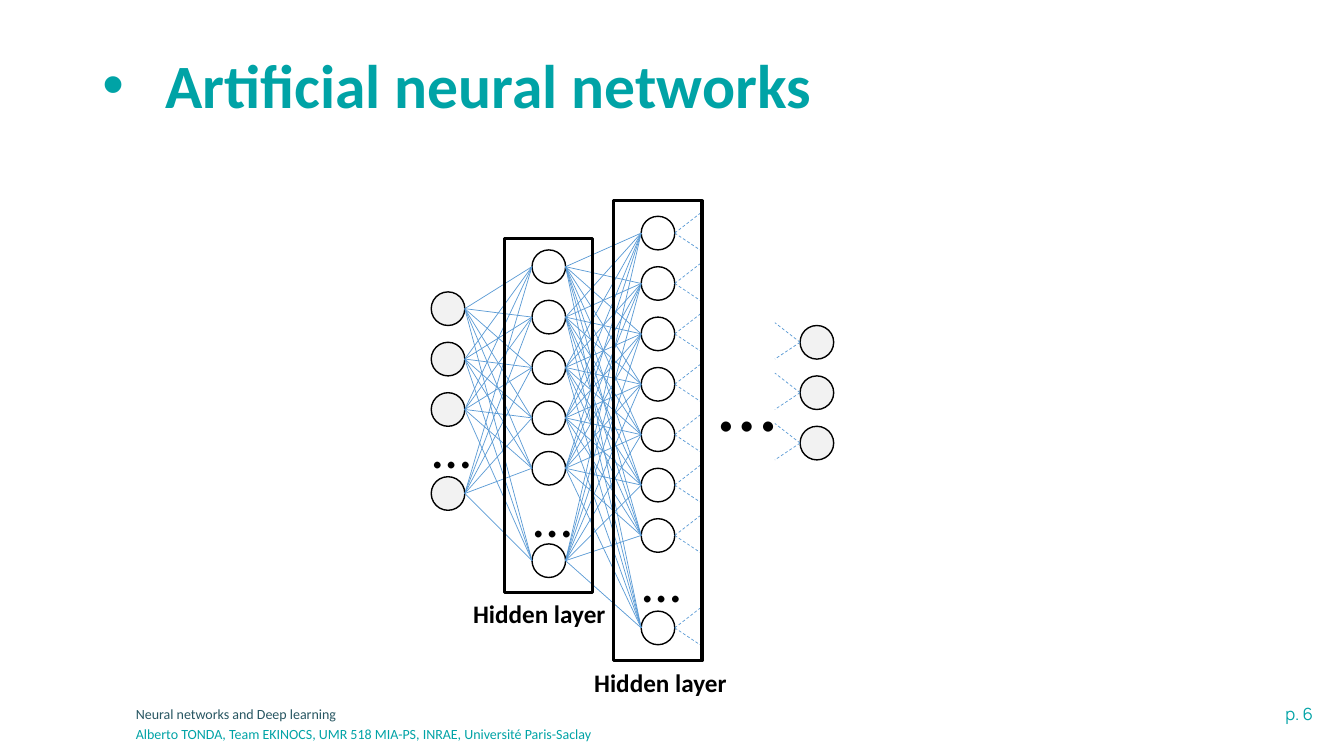
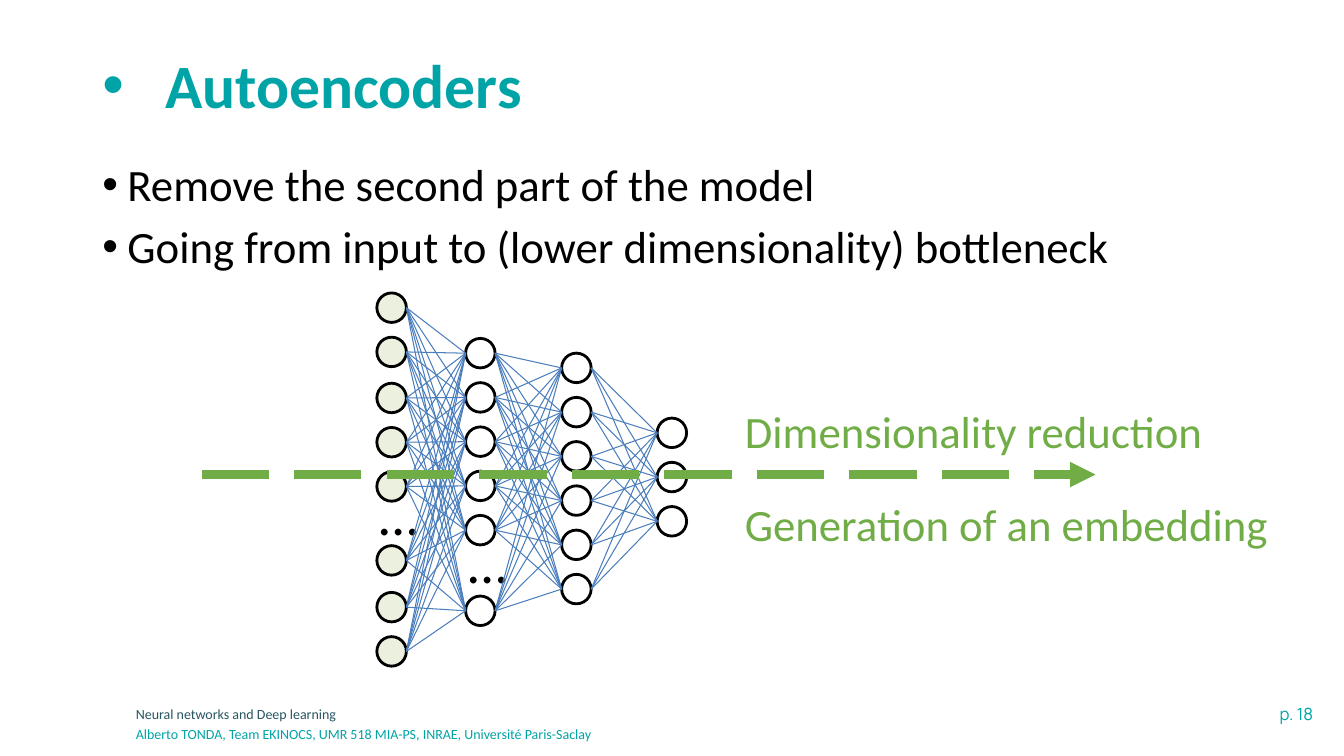
"""Build two slides on neural networks and autoencoders."""
from itertools import product

from lxml import etree
from pptx import Presentation
from pptx.dml.color import RGBColor
from pptx.enum.dml import MSO_LINE
from pptx.enum.shapes import MSO_CONNECTOR, MSO_SHAPE
from pptx.enum.text import MSO_ANCHOR, PP_ALIGN
from pptx.oxml.ns import qn
from pptx.util import Pt

STRAIGHT = MSO_CONNECTOR.STRAIGHT
OVAL, RECTANGLE = MSO_SHAPE.OVAL, MSO_SHAPE.RECTANGLE
LEFT, CENTER, RIGHT = PP_ALIGN.LEFT, PP_ALIGN.CENTER, PP_ALIGN.RIGHT
TOP, MIDDLE = MSO_ANCHOR.TOP, MSO_ANCHOR.MIDDLE
DASH, LONG_DASH = MSO_LINE.DASH, MSO_LINE.LONG_DASH

TEAL = RGBColor(0x00, 0xA3, 0xA6)
DARK_TEAL = RGBColor(0x27, 0x56, 0x62)
BLACK = RGBColor(0x00, 0x00, 0x00)
WHITE = RGBColor(0xFF, 0xFF, 0xFF)
PALE_GRAY = RGBColor(0xF2, 0xF2, 0xF2)
PALE_GREEN = RGBColor(0xEB, 0xF1, 0xDE)
LIGHT_BLUE = RGBColor(0x5B, 0x9B, 0xD5)
BLUE = RGBColor(0x4B, 0x7E, 0xBC)
GREEN = RGBColor(0x70, 0xAD, 0x47)

COURSE = "Neural networks and Deep learning"
AUTHOR = "Alberto TONDA, Team EKINOCS, UMR 518 MIA-PS, INRAE, Université Paris-Saclay"

DEEP_NETWORK = {
    "diameter": 24, "step": 36, "outline": 1, "link_color": LIGHT_BLUE, "link_width": 0.5,
    "layers": [
        {"left": 308, "fill": PALE_GRAY, "runs": [(220.5, 3), (352.5, 1)]},
        {"left": 380, "fill": WHITE, "runs": [(190.5, 5), (400.5, 1)]},
        {"left": 458, "fill": WHITE, "runs": [(166.5, 7), (448.5, 1)]},
    ],
    "ellipses": [((302, 291, 36, 55.5), 40), ((374, 340.5, 36, 55.5), 40),
                 ((452, 387, 36, 55.5), 40), ((506, 245, 36, 80), 60)],
}
OUTPUT_LAYER = {"left": 571.5, "fill": PALE_GRAY, "runs": [(244.5, 3)]}
STUB_LENGTH = 18
STUB_RISES = (-14, 12)
HIDDEN_LAYERS = [
    ((360.5, 170.5, 63, 252.5), (324, 424, 122.5, 29)),
    ((438.5, 143.5, 63, 328.5), (410.5, 473, 122.5, 29)),
]

ENCODER = {
    "diameter": 21.1, "step": 31.6, "outline": 2, "link_color": BLUE, "link_width": 0.75,
    "layers": [
        {"left": 269.2, "fill": PALE_GREEN,
         "runs": [(219.8, 2), (284.3, 3), (400.3, 1), (433.7, 2)]},
        {"left": 332.6, "fill": WHITE, "runs": [(252.3, 5), (436.3, 1)]},
        {"left": 401.2, "fill": WHITE, "runs": [(262.8, 6)]},
        {"left": 469.4, "fill": WHITE, "runs": [(309.2, 3)]},
    ],
    "ellipses": [((264, 339, 32, 49), 40), ((327.5, 373.5, 32, 49), 40)],
}
ENCODER_POINTS = [
    "Remove the second part of the model",
    "Going from input to (lower dimensionality) bottleneck",
]
EMBEDDING_NOTES = [
    ("Dimensionality reduction", (525, 284.5, 358, 46)),
    ("Generation of an embedding", (525, 351, 395.5, 46)),
]


def add_text(slide, box, *lines, size, color=BLACK, font="Calibri", bold=False, align=LEFT,
             anchor=TOP, bullet_indent=0, line_spacing=None, space_before=None):
    frame = slide.shapes.add_textbox(*map(Pt, box)).text_frame
    frame.word_wrap = True
    frame.vertical_anchor = anchor
    for index, line in enumerate(lines):
        paragraph = frame.add_paragraph() if index else frame.paragraphs[0]
        paragraph.alignment = align
        paragraph.line_spacing = line_spacing
        paragraph.space_before = space_before
        run = paragraph.add_run()
        run.text = line
        run.font.name, run.font.size, run.font.bold = font, Pt(size), bold
        run.font.color.rgb = color
        if bullet_indent:
            properties = paragraph._p.get_or_add_pPr()
            properties.set("marL", str(Pt(bullet_indent)))
            properties.set("indent", str(-Pt(bullet_indent)))
            etree.SubElement(properties, qn("a:buFont"), typeface="Arial")
            etree.SubElement(properties, qn("a:buChar"), char="•")


def add_outlined(slide, kind, box, width, fill=None):
    outlined = slide.shapes.add_shape(kind, *map(Pt, box))
    outlined.shadow.inherit = False
    outlined.line.color.rgb = BLACK
    outlined.line.width = Pt(width)
    if fill is None:
        outlined.fill.background()
    else:
        outlined.fill.solid()
        outlined.fill.fore_color.rgb = fill


def add_line(slide, start, end, color, width, dash=None, arrow=False):
    connector = slide.shapes.add_connector(STRAIGHT, *map(Pt, (*start, *end)))
    connector.line.color.rgb = color
    connector.line.width = Pt(width)
    connector.line.dash_style = dash
    properties = connector._element.spPr
    if arrow:
        etree.SubElement(properties.find(qn("a:ln")), qn("a:tailEnd"), type="triangle")
    etree.SubElement(properties, qn("a:effectLst"))


def neuron_centers(layer, step):
    return [first + step * index for first, count in layer["runs"] for index in range(count)]


def add_layer(slide, layer, network):
    diameter = network["diameter"]
    for center in neuron_centers(layer, network["step"]):
        box = (layer["left"], center - diameter / 2, diameter, diameter)
        add_outlined(slide, OVAL, box, network["outline"], layer["fill"])


def add_network(slide, network):
    layers, step = network["layers"], network["step"]
    for layer in layers:
        add_layer(slide, layer, network)
    for box, size in network["ellipses"]:
        add_text(slide, box, "…", size=size, align=CENTER)
    for source, target in zip(layers, layers[1:]):
        right = source["left"] + network["diameter"]
        for start, end in product(neuron_centers(source, step), neuron_centers(target, step)):
            add_line(slide, (right, start), (target["left"], end),
                     network["link_color"], network["link_width"])


def add_stubs(slide, layer, network, edge, direction):
    for center, rise in product(neuron_centers(layer, network["step"]), STUB_RISES):
        add_line(slide, (edge, center), (edge + direction * STUB_LENGTH, center + rise),
                 network["link_color"], network["link_width"], dash=DASH)


def add_base_slide(deck, title, page):
    slide = deck.slides.add_slide(deck.slide_layouts[6])
    add_text(slide, (781, 499, 164, 21.5), f"p. {page}", size=12, color=TEAL,
             font="Manrope", align=RIGHT)
    add_text(slide, (90, 500.5, 528.5, 20), COURSE, size=10, color=DARK_TEAL)
    add_text(slide, (90, 514.5, 528.5, 20), AUTHOR, size=10, color=TEAL)
    add_text(slide, (66, 28.75, 828, 68.5), title, size=44, color=TEAL, bold=True,
             anchor=MIDDLE, bullet_indent=45, line_spacing=0.9)
    return slide


def add_networks_slide(deck):
    slide = add_base_slide(deck, "Artificial neural networks", 6)
    add_network(slide, DEEP_NETWORK)
    add_layer(slide, OUTPUT_LAYER, DEEP_NETWORK)
    last_hidden = DEEP_NETWORK["layers"][-1]
    add_stubs(slide, last_hidden, DEEP_NETWORK,
              last_hidden["left"] + DEEP_NETWORK["diameter"], 1)
    add_stubs(slide, OUTPUT_LAYER, DEEP_NETWORK, OUTPUT_LAYER["left"], -1)
    for frame_box, label_box in HIDDEN_LAYERS:
        add_outlined(slide, RECTANGLE, frame_box, 2.25)
        add_text(slide, label_box, "Hidden layer", size=18, bold=True, align=CENTER)


def add_autoencoders_slide(deck):
    slide = add_base_slide(deck, "Autoencoders", 18)
    add_text(slide, (66, 112.5, 828, 368), *ENCODER_POINTS, size=32, bullet_indent=18,
             line_spacing=0.9, space_before=Pt(10))
    add_network(slide, ENCODER)
    add_line(slide, (144, 339), (782.5, 339), GREEN, 6, dash=LONG_DASH, arrow=True)
    for note, box in EMBEDDING_NOTES:
        add_text(slide, box, note, size=32, color=GREEN)


def main():
    deck = Presentation()
    deck.slide_width, deck.slide_height = Pt(960), Pt(540)
    add_networks_slide(deck)
    add_autoencoders_slide(deck)
    deck.save("out.pptx")


if __name__ == "__main__":
    main()
